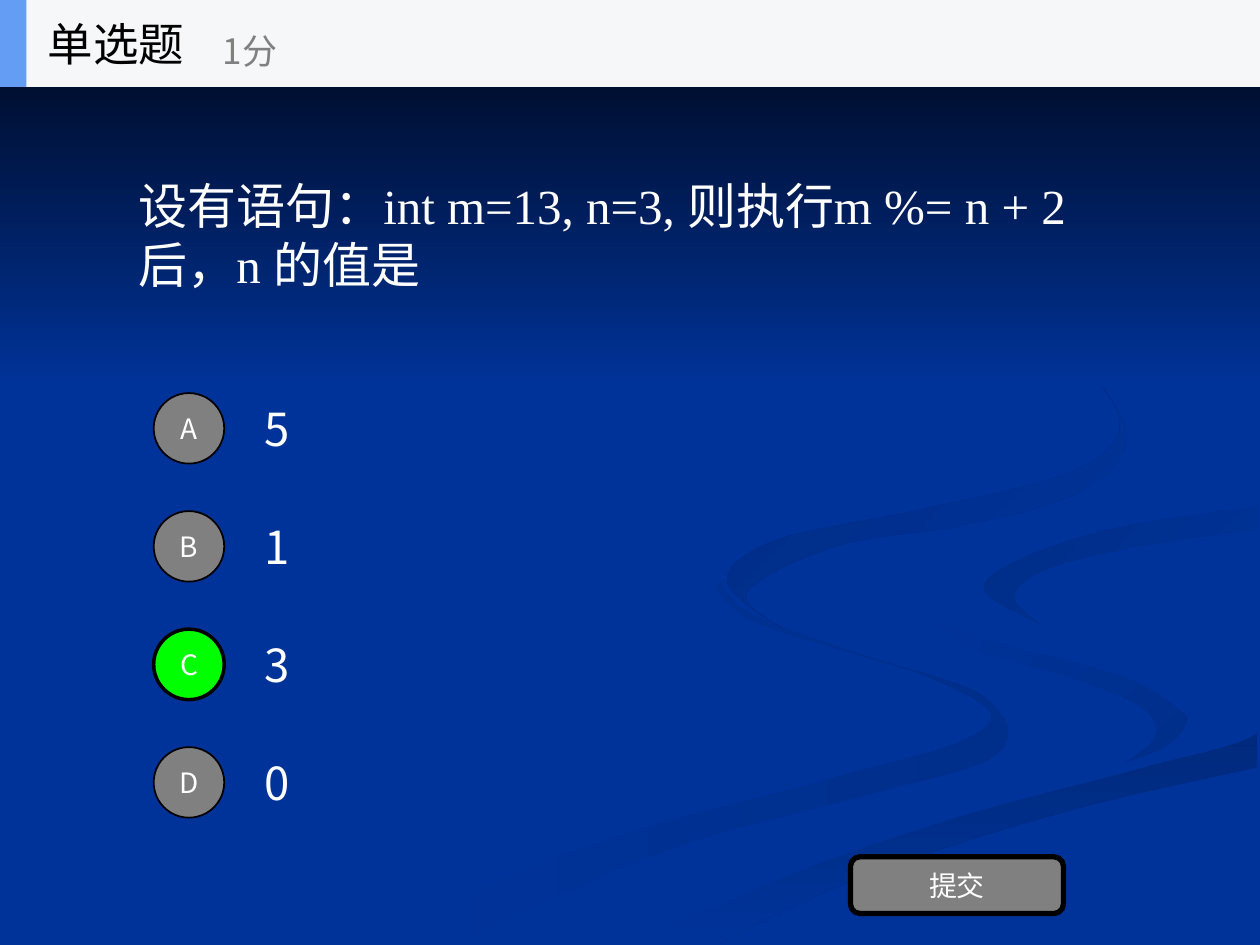
"""Build a single-choice quiz slide, on a one-inch grid, over a backdrop of curved ribbons."""
from lxml.etree import SubElement
from pptx import Presentation
from pptx.dml.color import RGBColor as RGB
from pptx.enum.shapes import MSO_SHAPE as Preset
from pptx.enum.text import MSO_ANCHOR as Anchor, MSO_AUTO_SIZE as AutoSize, PP_ALIGN as Align
from pptx.oxml.ns import qn
from pptx.util import Inches, Pt

COLORS = {
    "blue": "003399", "night": "000514", "white": "FFFFFF", "black": "000000",
    "gray": "808080", "green": "00FF00", "bar": "F6F7F8", "accent": "639EF4",
    "dusk": "002E8B", "dark": "002A7D", "shade": "002D86", "deep": "002B82",
}
SANS, SERIF = "Noto Sans CJK SC", "Times New Roman"
COLUMNS, ROWS = 10, 7.5
HEADER, SKY = 0.69, 3.08


def paint(shape, *roles, angle=0, border=0):
    shape.shadow.inherit = False
    if len(roles) == 1:
        shape.fill.solid()
        shape.fill.fore_color.rgb = RGB.from_string(COLORS[roles[0]])
    else:
        shape.fill.gradient()
        shape.fill.gradient_angle = (360 - angle) % 360
        for stop, role in zip(shape.fill.gradient_stops, roles):
            stop.color.rgb = RGB.from_string(COLORS[role])
    if border:
        shape.line.color.rgb = RGB.from_string(COLORS["black"])
        shape.line.width = Pt(border)
    else:
        shape.line.fill.background()


def write(shape, text, size, color="white", face=SANS, align=Align.LEFT, wrap=True):
    frame = shape.text_frame
    frame.text = text
    frame.word_wrap = wrap
    frame.auto_size = AutoSize.NONE
    frame.vertical_anchor = Anchor.MIDDLE
    paragraph = frame.paragraphs[0]
    paragraph.alignment = align
    font = paragraph.font
    font.size = Pt(size)
    font.color.rgb = RGB.from_string(COLORS[color])
    font.name = face
    SubElement(font._element, qn("a:ea"), typeface=SANS)


deck = Presentation()
deck.slide_width, deck.slide_height = Inches(COLUMNS), Inches(ROWS)
slide = deck.slides.add_slide(deck.slide_layouts[5])
slide.background.fill.solid()
slide.background.fill.fore_color.rgb = RGB.from_string(COLORS["blue"])
shapes = slide.shapes

ribbons = {
    "left wave": (
        ("blue", "dusk"), 0,
        [(5.75, 4.59), (5.76, 4.69), (6.02, 4.9), (6.82, 5.19), (7.45, 5.38), (7.81, 5.53),
         (8, 5.81), (7.8, 6.05), (6.99, 6.28), (5.32, 6.74), (3.61, 7.49)],
        [(5.75, 4.59), (5.7, 4.7), (6.02, 4.95), (6.79, 5.19), (7.41, 5.39), (7.86, 5.66),
         (7.59, 5.9), (6.52, 6.2), (4.58, 6.74), (3, 7.49)]),
    "right bend": (
        ("blue", "dusk"), 45,
        [(7.24, 4.64), (7.45, 4.9), (8.11, 5.15), (8.88, 5.35), (9.43, 5.7), (9.32, 5.89),
         (8.94, 6.05)],
        [(7.24, 4.64), (7.33, 4.88), (7.81, 5.18), (8.54, 5.39), (9.07, 5.62), (9.17, 5.85),
         (8.94, 6.05)]),
    "lower sweep": (
        ("dark", "blue"), 90,
        [(9.98, 5.81), (9.03, 6.1), (7.64, 6.47), (6.3, 6.93), (5.03, 7.49)],
        [(9.98, 6.09), (8.61, 6.4), (7.22, 6.82), (6.3, 7.19), (5.71, 7.49)]),
    "plain wave": (
        ("blue",), 0,
        [(9.99, 3.87), (8.74, 4.08), (7.7, 4.27), (7.25, 4.64), (7.59, 4.98), (8.31, 5.19),
         (9.2, 5.47), (9.43, 5.7), (9.11, 6), (8.13, 6.25), (6.63, 6.68), (4.77, 7.49)],
        [(9.99, 4.02), (8.65, 4.24), (7.81, 4.63), (8.17, 4.92), (9.04, 5.19), (9.99, 5.38),
         (9.99, 5.81), (9.04, 6.1), (7.65, 6.47), (6.3, 6.93), (5.03, 7.49)]),
    "right hook": (
        ("shade", "blue"), 45,
        [(9.98, 4.02), (8.65, 4.24), (7.81, 4.63), (8.26, 4.96)],
        [(9.98, 4.2), (8.96, 4.35), (8.28, 4.53), (8.05, 4.74), (8.26, 4.96)]),
    "upper wave": (
        ("deep", "blue"), 45,
        [(7.62, 2.33), (8.43, 2.75), (8.94, 3.44), (8.55, 3.91), (7.64, 4.17), (6.65, 4.33),
         (5.93, 4.7), (6.22, 5)],
        [(7.62, 2.33), (8.46, 2.79), (8.89, 3.35), (8.52, 3.74), (7.33, 4.04), (6.15, 4.29),
         (5.77, 4.62), (6.22, 5)]),
}
CURVE_STEPS, UNITS_PER_INCH, RIGHT_LIMIT = 8, 1000, 9.99
for roles, angle, near_edge, far_edge in ribbons.values():
    outline = []
    for edge in (near_edge, far_edge[::-1]):
        padded = [edge[0], *edge, edge[-1]]
        for before, start, end, after in zip(padded, padded[1:], padded[2:], padded[3:]):
            for step in range(CURVE_STEPS):
                t = step / CURVE_STEPS
                x, y = (
                    b + (c - a) * t / 2 + (2 * a - 5 * b + 4 * c - d) * t**2 / 2
                    + (3 * b - a - 3 * c + d) * t**3 / 2
                    for a, b, c, d in zip(before, start, end, after))
                outline.append((min(x, RIGHT_LIMIT) * UNITS_PER_INCH, y * UNITS_PER_INCH))
        outline.append(tuple(value * UNITS_PER_INCH for value in edge[-1]))
    builder = shapes.build_freeform(*outline[0], scale=Inches(1) / UNITS_PER_INCH)
    builder.add_line_segments(outline[1:], close=True)
    paint(builder.convert_to_shape(), *roles, angle=angle)

sky = shapes.add_shape(Preset.RECTANGLE, *map(Inches, (0, 0, COLUMNS, SKY)))
paint(sky, "night", "blue", angle=90)

question = shapes.title
shapes._spTree.append(question._element)
question.left, question.top, question.width, question.height = map(Inches, (1, HEADER, 8, 2.34))
write(question, "设有语句：int m=13, n=3, 则执行m %= n + 2 后，n 的值是", 28, face=SERIF)

options = {"A": "5", "B": "1", "C": "3", "D": "0"}
correct = "C"
first_row, last_row = 3.05, 5.86
row_pitch = (last_row - first_row) / (len(options) - 1)
answer_height, badge_size = 0.7, 0.56
badge_inset = (answer_height - badge_size) / 2
for row, (letter, value) in enumerate(options.items()):
    top = first_row + row * row_pitch
    answer = shapes.add_textbox(*map(Inches, (2, top, 7, answer_height)))
    write(answer, value, 26)
    badge = shapes.add_shape(
        Preset.OVAL, *map(Inches, (1.22, top + badge_inset, badge_size, badge_size)))
    chosen = letter == correct
    paint(badge, "green" if chosen else "gray", border=2 if chosen else 1)
    write(badge, letter, 16, align=Align.CENTER)

submit = shapes.add_shape(Preset.ROUNDED_RECTANGLE, *map(Inches, (6.75, 6.8, 1.69, 0.45)))
paint(submit, "gray", border=3)
write(submit, "提交", 16, align=Align.CENTER)

for width, role in ((COLUMNS, "bar"), (0.21, "accent")):
    band = shapes.add_shape(Preset.RECTANGLE, *map(Inches, (0, 0, width, HEADER)))
    paint(band, role)

header_labels = [
    ("单选题", 26, "black", (0.28, 0, 2.08, HEADER)),
    ("1分", 20, "gray", (1.67, 0.12, 2.5, 0.56)),
]
for label, size, color, area in header_labels:
    write(shapes.add_textbox(*map(Inches, area)), label, size, color, wrap=False)

deck.save("out.pptx")
